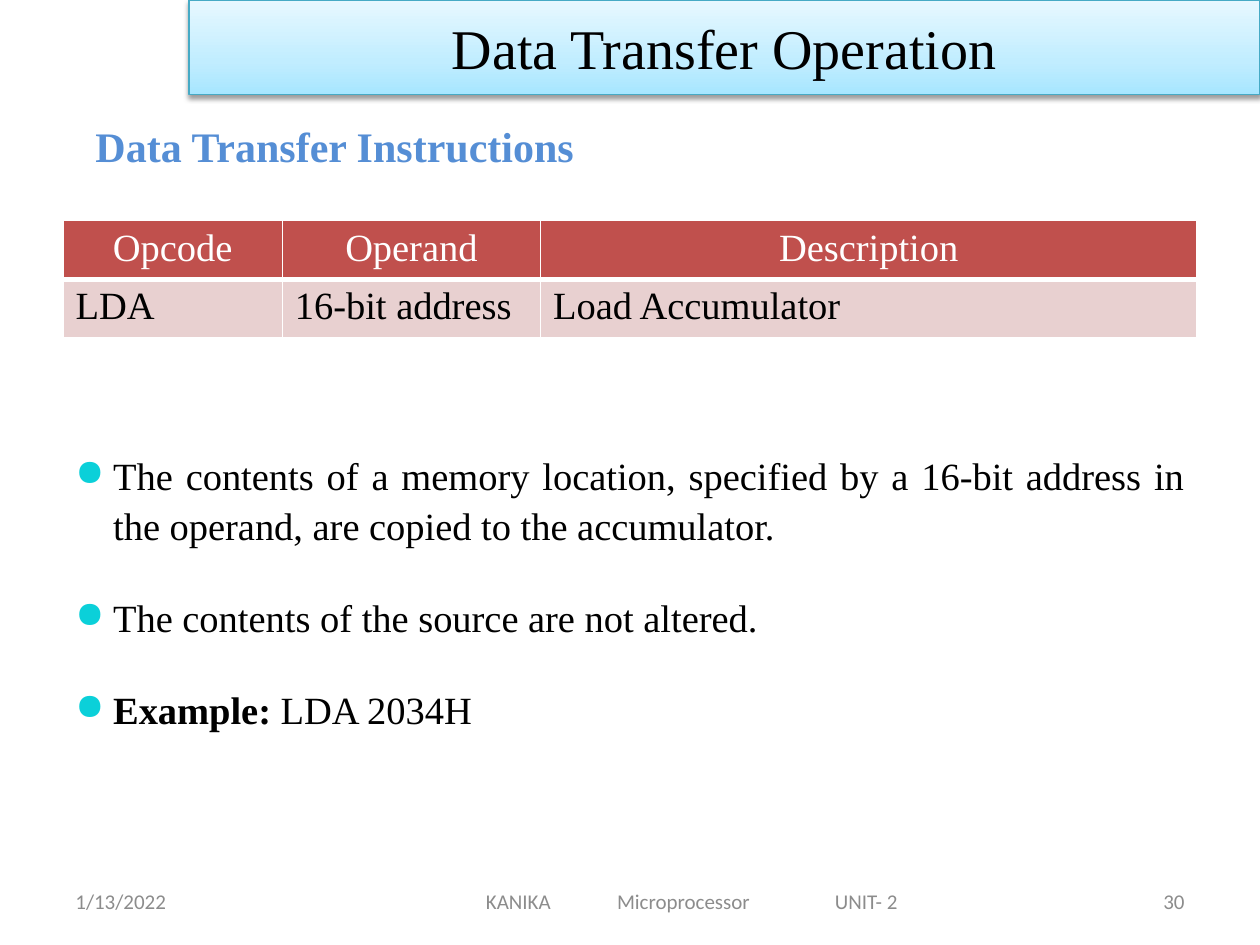
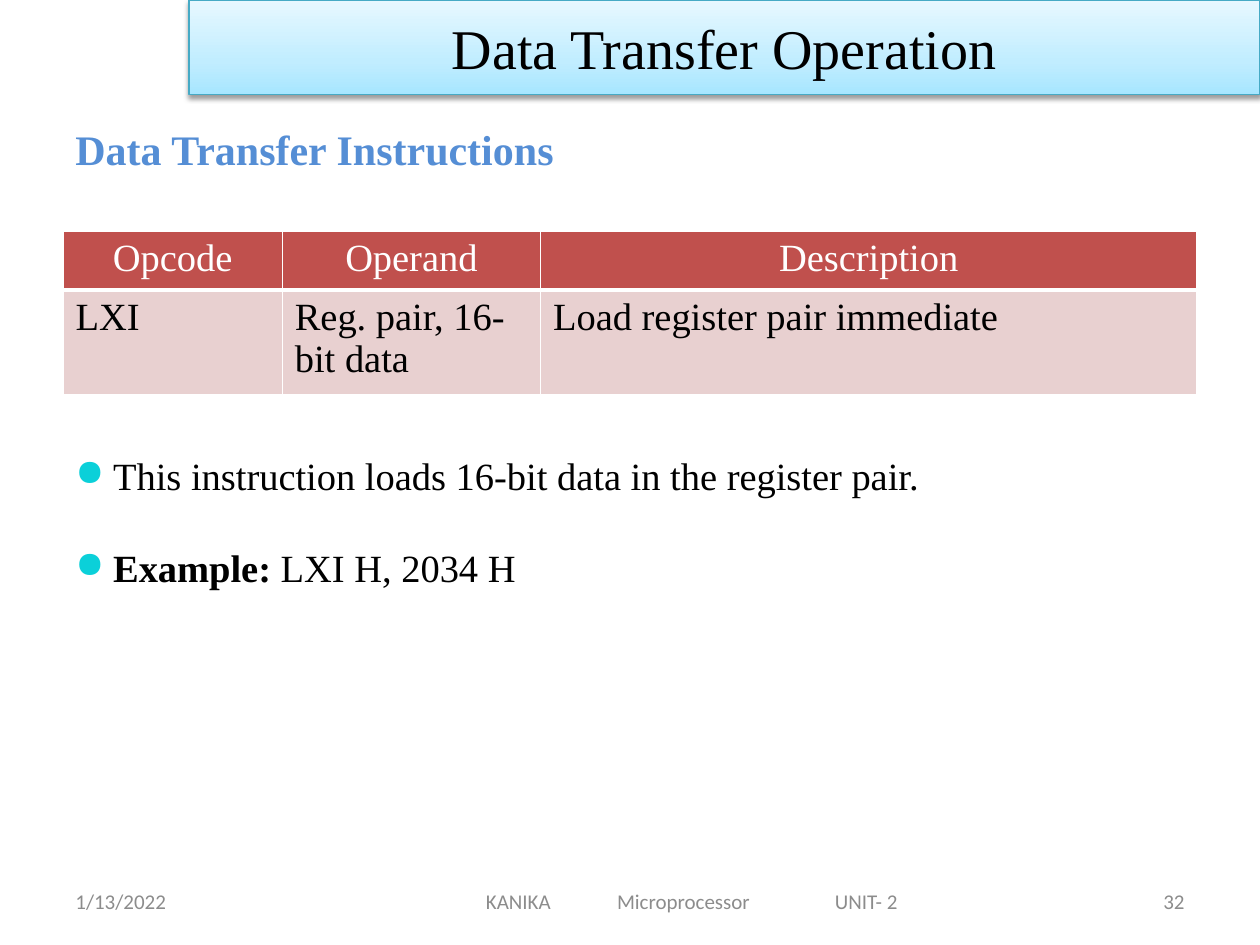
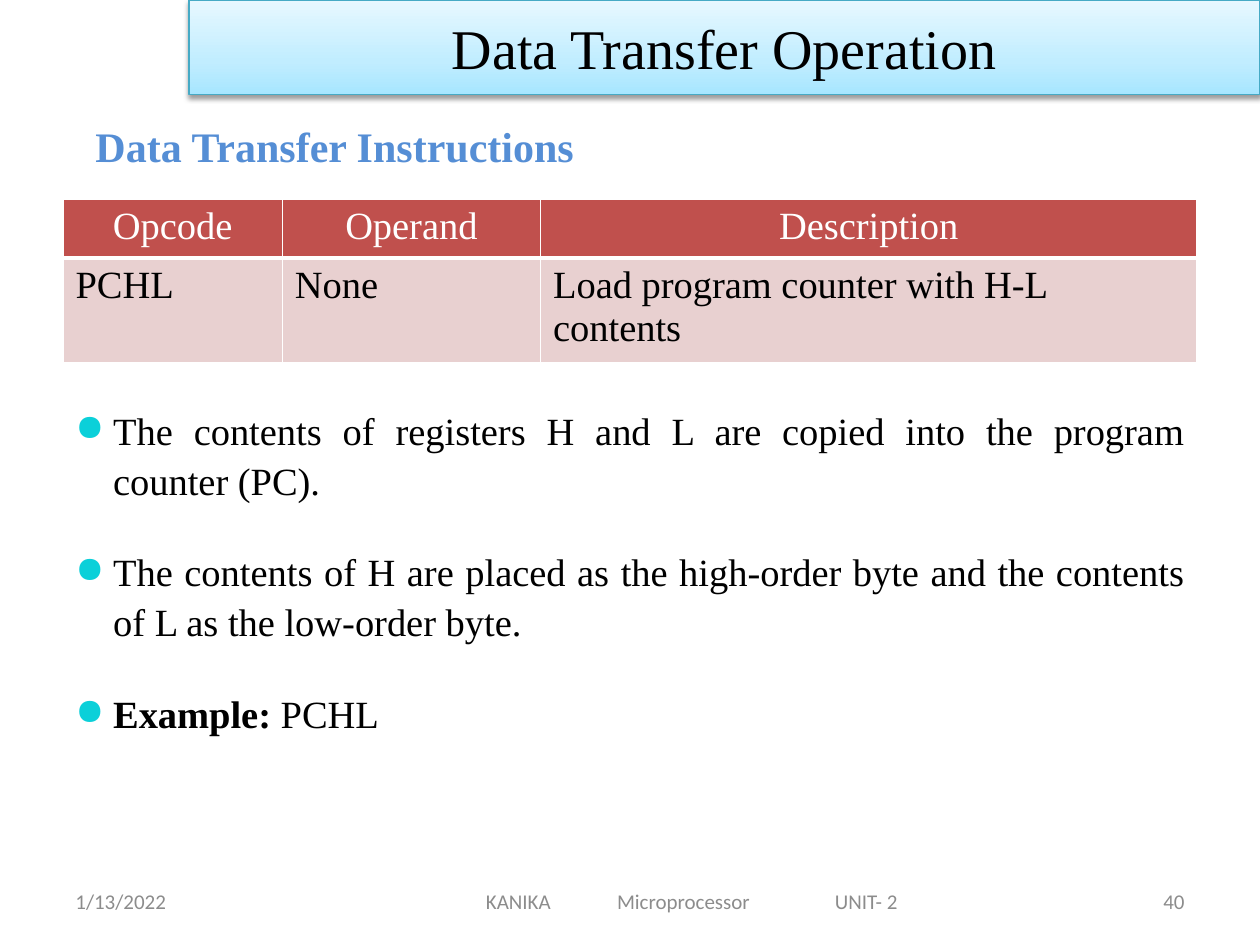
from lxml import etree
from pptx import Presentation
from pptx.dml.color import RGBColor
from pptx.enum import shapes, text
from pptx.oxml import ns
from pptx.util import Pt

SERIF, SANS = "Times New Roman", "Calibri"
BLACK, WHITE, GREY = "000000", "FFFFFF", "8C8C8C"
BLUE, EDGE, RED, PINK, CYAN = "558ED5", "46AAC5", "C0504D", "E8D0D0", "0BD0D9"
BAND = [(0, "A7E6FF"), (35, "C1EDFF"), (100, "E7F8FF")]
LEFT, MID, RIGHT, EVEN = (text.PP_ALIGN.LEFT, text.PP_ALIGN.CENTER,
                          text.PP_ALIGN.RIGHT, text.PP_ALIGN.JUSTIFY)
HEADS = ["Opcode", "Operand", "Description"]
COLS = [125.3, 147.6, 375.1]

LDA = ["LDA", "16-bit address", "Load Accumulator"]
LXI = ["LXI", "Reg. pair, 16-bit data", "Load register pair immediate"]
PCHL = ["PCHL", "None", "Load program counter with H-L contents"]
PAGES = [
    ("30", (47.5, 65.5), 126, 33.5, LDA, 252.7, EVEN,
     ["The contents of a memory location, specified by a 16-bit address in the operand, "
      "are copied to the accumulator.",
      "The contents of the source are not altered."], " LDA 2034H"),
    ("32", (36, 67), 132, 60, LXI, 252.7, LEFT,
     ["This instruction loads 16-bit data in the register pair."], " LXI H, 2034 H"),
    ("40", (47.5, 65.5), 113.8, 60, PCHL, 226.8, EVEN,
     ["The contents of registers H and L are copied into the program counter (PC).",
      "The contents of H are placed as the high-order byte and the contents of L "
      "as the low-order byte."], " PCHL"),
]


def tag(up, name, at=None, **attrs):
    node = etree.Element(ns.qn(name), {k: str(v) for k, v in attrs.items()})
    up.insert(len(up) if at is None else at, node)
    return node


def write(para, words, size, face, tint, bold=False, align=LEFT):
    para.alignment = align
    run = para.add_run()
    run.text = words
    run.font.size = Pt(size)
    run.font.name = face
    run.font.bold = bold
    run.font.color.rgb = RGBColor.from_string(tint)


deck = Presentation()
deck.slide_width, deck.slide_height = Pt(720), Pt(540)

for page, spot, top, tall, row, low, align, points, sample in PAGES:
    slide = deck.slides.add_slide(deck.slide_layouts[6])

    band = slide.shapes.add_shape(shapes.MSO_SHAPE.RECTANGLE, Pt(108), 0, Pt(612), Pt(54))
    band.line.color.rgb = RGBColor.from_string(EDGE)
    band.line.width = Pt(0.75)
    props = band.fill._xPr
    grad = tag(props, "a:gradFill", 2, rotWithShape=1)
    stops = tag(grad, "a:gsLst")
    for place, tint in BAND:
        tag(tag(stops, "a:gs", pos=place * 1000), "a:srgbClr", val=tint)
    tag(grad, "a:lin", ang=16200000, scaled=0)
    shade = tag(tag(props, "a:effectLst"), "a:outerShdw", blurRad=Pt(3.1),
                dist=Pt(1.6), dir=5400000, rotWithShape=0)
    tag(tag(shade, "a:srgbClr", val=BLACK), "a:alpha", val=38000)
    band.text_frame.vertical_anchor = text.MSO_ANCHOR.MIDDLE
    write(band.text_frame.paragraphs[0], "Data Transfer Operation", 32, SERIF, BLACK, align=MID)

    head = slide.shapes.add_textbox(Pt(spot[0]), Pt(spot[1]), Pt(291), Pt(36.7)).text_frame
    head.word_wrap = False
    head.auto_size = text.MSO_AUTO_SIZE.SHAPE_TO_FIT_TEXT
    write(head.paragraphs[0], "Data Transfer Instructions", 24, SERIF, BLUE, True)

    grid = slide.shapes.add_table(2, 3, Pt(36), Pt(top), Pt(648), Pt(33.5 + tall)).table
    grid.first_row = grid.horz_banding = False
    grid.rows[0].height, grid.rows[1].height = Pt(33.5), Pt(tall)
    for col, wide in enumerate(COLS):
        grid.columns[col].width = Pt(wide)
        for line, (words, fill, tint, side) in enumerate(
                [(HEADS[col], RED, WHITE, MID), (row[col], PINK, BLACK, LEFT)]):
            cell = grid.cell(line, col)
            write(cell.text_frame.paragraphs[0], words, 22, SERIF, tint, align=side)
            cell.fill.solid()
            cell.fill.fore_color.rgb = RGBColor.from_string(fill)
            rim = cell._tc.get_or_add_tcPr()
            for i, edge in enumerate("LRTB"):
                thick = 3 if edge == "B" and line == 0 else 1
                rule = tag(rim, "a:ln" + edge, i, w=Pt(thick))
                tag(tag(rule, "a:solidFill"), "a:srgbClr", val=WHITE)

    body = slide.shapes.add_textbox(Pt(36), Pt(low), Pt(648), Pt(244.8)).text_frame
    body.word_wrap = True
    for i, words in enumerate(points + ["Example:"]):
        para = body.paragraphs[0] if i == 0 else body.add_paragraph()
        para.line_spacing = 1.08
        para.space_after = Pt(24)
        form = para._p.get_or_add_pPr()
        form.set("marL", str(Pt(21.6)))
        form.set("indent", str(Pt(-21.6)))
        tag(tag(form, "a:buClr"), "a:srgbClr", val=CYAN)
        tag(form, "a:buSzPct", val=95000)
        tag(form, "a:buChar", char="●")
        last = i == len(points)
        write(para, words, 22, SERIF, BLACK, last, align)
        if last:
            write(para, sample, 22, SERIF, BLACK, align=align)

    for left, wide, words, side in [
            (36, 168, "1/13/2022", LEFT),
            (198, 396, "KANIKA\tMicroprocessor\tUNIT- 2", LEFT),
            (516, 168, page, RIGHT)]:
        foot = slide.shapes.add_textbox(Pt(left), Pt(500.4), Pt(wide), Pt(28.8)).text_frame
        foot.word_wrap = True
        foot.vertical_anchor = text.MSO_ANCHOR.MIDDLE
        para = foot.paragraphs[0]
        if "\t" in words:
            foot.margin_left = Pt(79.7)
            tabs = tag(para._p.get_or_add_pPr(), "a:tabLst")
            for stop in (74.9, 199.4):
                tag(tabs, "a:tab", pos=Pt(stop), algn="l")
        write(para, words, 12, SANS, GREY, align=side)

deck.save("out.pptx")
